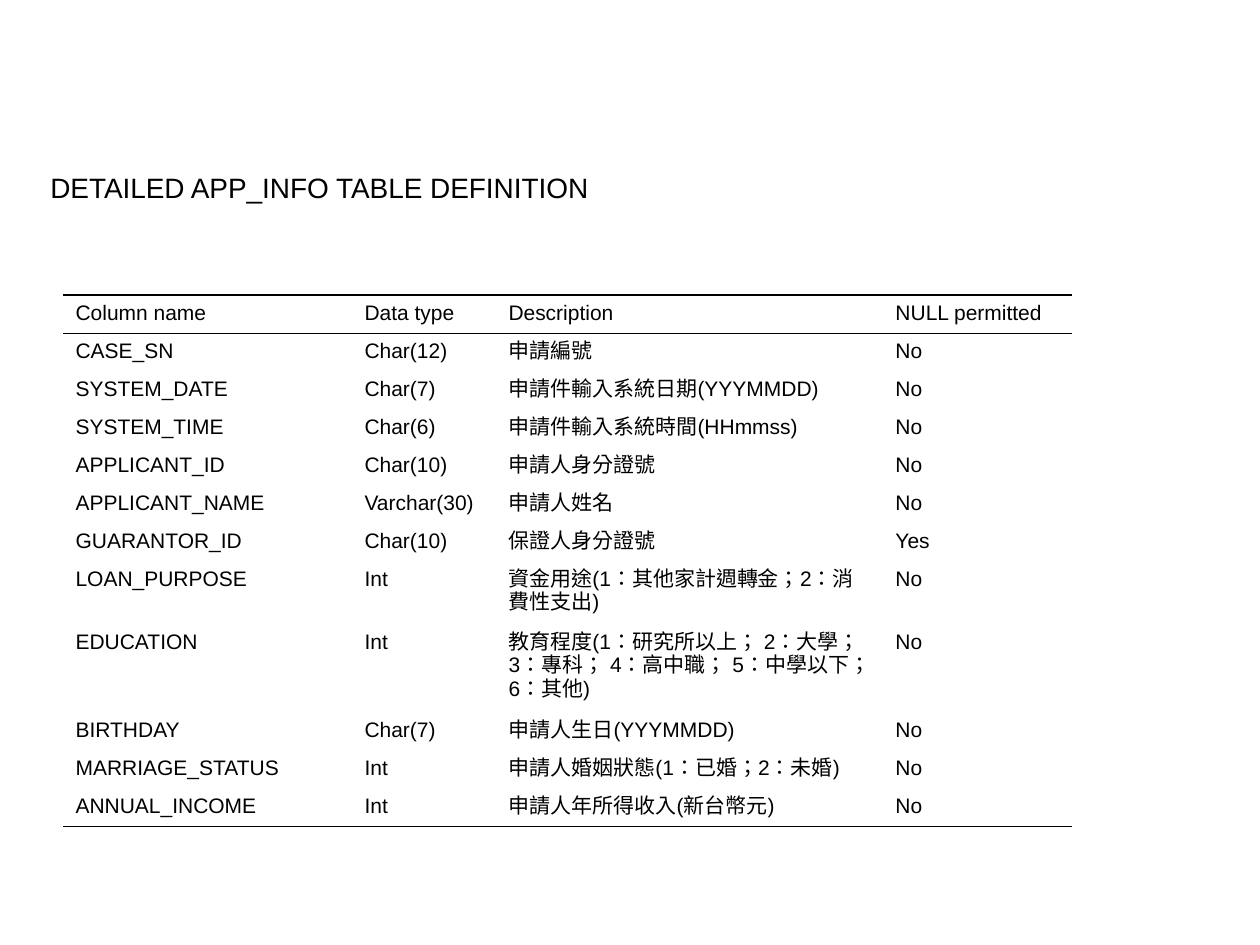
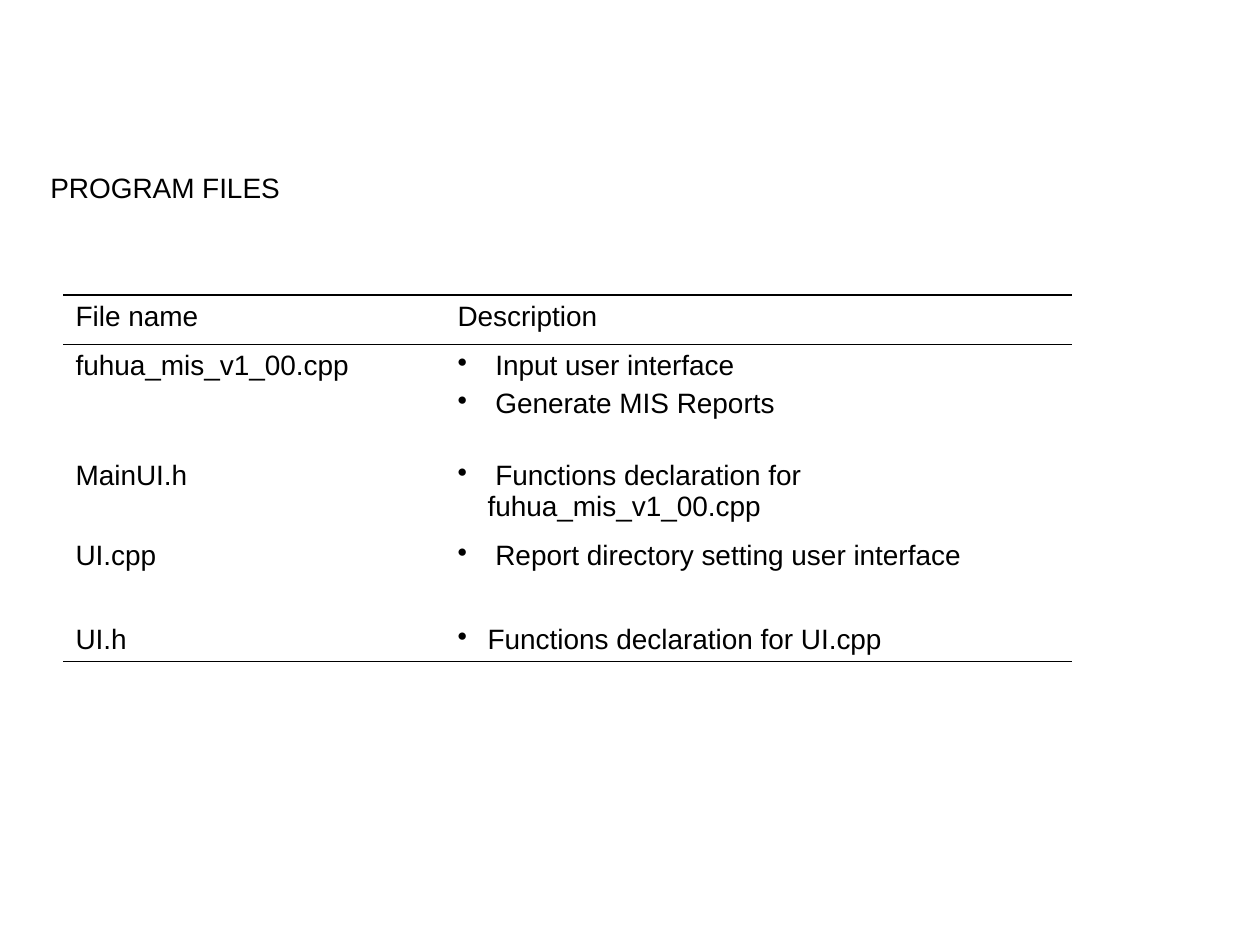
from lxml import etree
from pptx import Presentation
from pptx.dml.color import RGBColor
from pptx.enum.text import MSO_ANCHOR as ANCHOR, MSO_AUTO_SIZE as AUTOSIZE
from pptx.oxml.ns import qn
from pptx.util import Pt

# Shared style
FONT = "Arial"
COLORS = {"ink": "000000"}
OUTER, INNER = 0.75, 0.45    # rule widths in points
TITLE_BOX = (38, 164, 1171, 47)
TABLE_POS = (63, 295)
HANG = 30                    # bullet indent

# Content: a list in a cell holds bullet points
SLIDES = [
    {
        "title": "DETAILED APP_INFO TABLE DEFINITION",
        "size": 12,
        "cols": [289, 144, 387, 189],
        "heights": [38] * 7 + [63, 88] + [38] * 3,
        "rows": [
            ("Column name", "Data type", "Description", "NULL permitted"),
            ("CASE_SN", "Char(12)", "申請編號", "No"),
            ("SYSTEM_DATE", "Char(7)", "申請件輸入系統日期(YYYMMDD)", "No"),
            ("SYSTEM_TIME", "Char(6)", "申請件輸入系統時間(HHmmss)", "No"),
            ("APPLICANT_ID", "Char(10)", "申請人身分證號", "No"),
            ("APPLICANT_NAME", "Varchar(30)", "申請人姓名", "No"),
            ("GUARANTOR_ID", "Char(10)", "保證人身分證號", "Yes"),
            ("LOAN_PURPOSE", "Int", "資金用途(1：其他家計週轉金；2：消費性支出)", "No"),
            ("EDUCATION", "Int",
             "教育程度(1：研究所以上； 2：大學； 3：專科； 4：高中職； 5：中學以下； 6：其他)", "No"),
            ("BIRTHDAY", "Char(7)", "申請人生日(YYYMMDD)", "No"),
            ("MARRIAGE_STATUS", "Int", "申請人婚姻狀態(1：已婚；2：未婚)", "No"),
            ("ANNUAL_INCOME", "Int", "申請人年所得收入(新台幣元)", "No"),
        ],
    },
    {
        "title": "PROGRAM FILES",
        "size": 16,
        "cols": [382, 627],
        "heights": [49, 110, 80, 81, 47],
        "last_anchor": ANCHOR.BOTTOM,
        "rows": [
            ("File name", "Description"),
            ("fuhua_mis_v1_00.cpp", [" Input user interface", " Generate MIS Reports"]),
            ("MainUI.h", [" Functions declaration for fuhua_mis_v1_00.cpp"]),
            ("UI.cpp", [" Report directory setting user interface"]),
            ("UI.h", ["Functions declaration for UI.cpp"]),
        ],
    },
]


def px(n):
    return round(n * 914400 / 126)


def sub(parent, tag, **attrs):
    return etree.SubElement(parent, qn(tag), {k: str(v) for k, v in attrs.items()})


def write(tf, text, size=16, color="ink", gap=4):
    """Fill a text frame; a list becomes bulleted paragraphs."""
    bulleted = isinstance(text, list)
    for i, line in enumerate(text if bulleted else [text]):
        p = tf.add_paragraph() if i else tf.paragraphs[0]
        if bulleted:
            pPr = p._p.get_or_add_pPr()
            pPr.set("marL", str(px(HANG)))
            pPr.set("indent", str(-px(HANG)))
            sub(pPr, "a:buChar", char="•")
        if i:
            p.space_before = Pt(gap)
        r = p.add_run()
        r.text = line
        r.font.size = Pt(size)
        r.font.name = FONT
        r.font.color.rgb = RGBColor.from_string(COLORS[color])
        if not line.isascii():
            rPr = r._r.get_or_add_rPr()
            rPr.set("lang", "zh-TW")
            sub(rPr, "a:ea", typeface=FONT)


def rule_cell(cell, top, bottom):
    """Draw horizontal rules only; a width of 0 means no line."""
    tcPr = cell._tc.get_or_add_tcPr()
    for side, width in (("L", 0), ("R", 0), ("T", top), ("B", bottom)):
        ln = sub(tcPr, "a:ln" + side, w=Pt(width))
        if width:
            sub(sub(ln, "a:solidFill"), "a:srgbClr", val=COLORS["ink"])
        else:
            sub(ln, "a:noFill")
    cell.fill.background()


def add_title(s, text):
    tf = s.shapes.add_textbox(*map(px, TITLE_BOX)).text_frame
    tf.word_wrap = True
    tf.auto_size = AUTOSIZE.SHAPE_TO_FIT_TEXT
    write(tf, text)


def add_grid(s, data):
    rows, cols, heights = data["rows"], data["cols"], data["heights"]
    box = (*TABLE_POS, sum(cols), sum(heights))
    table = s.shapes.add_table(len(rows), len(cols), *map(px, box)).table
    table.first_row = table.horz_banding = False
    for column, width in zip(table.columns, cols):
        column.width = px(width)
    last = len(rows) - 1
    for i, row in enumerate(rows):
        table.rows[i].height = px(heights[i])
        top = {0: OUTER, 1: INNER}.get(i, 0)
        bottom = {0: INNER, last: OUTER}.get(i, 0)
        for j, text in enumerate(row):
            cell = table.cell(i, j)
            write(cell.text_frame, text, size=data["size"])
            rule_cell(cell, top, bottom)
            if i == last and "last_anchor" in data:
                cell.vertical_anchor = data["last_anchor"]


def main():
    prs = Presentation()
    prs.slide_width, prs.slide_height = px(1260), px(945)
    for data in SLIDES:
        s = prs.slides.add_slide(prs.slide_layouts[6])
        add_title(s, data["title"])
        add_grid(s, data)
    prs.save("out.pptx")


if __name__ == "__main__":
    main()
